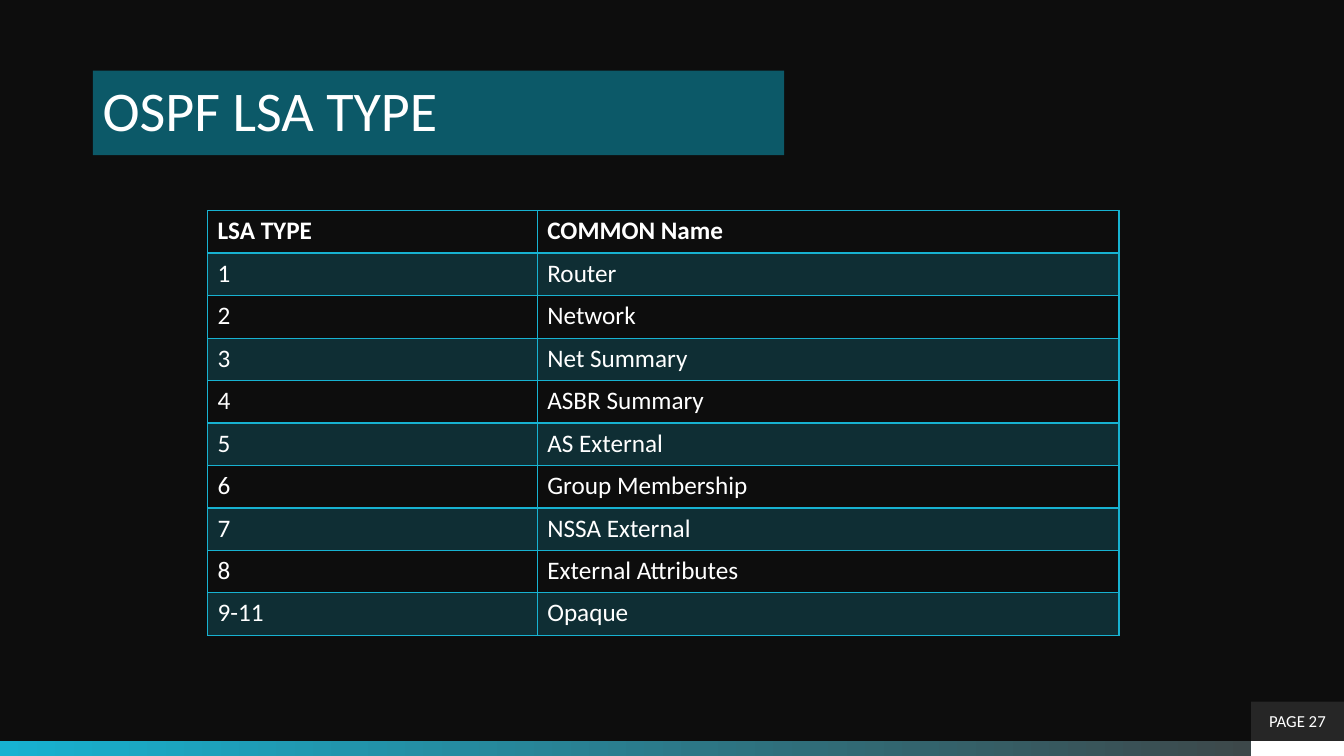
import pptx
import pptx.util
import pptx.dml.color
import pptx.enum.shapes
import pptx.enum.text
import pptx.oxml
import pptx.oxml.ns

Cm = pptx.util.Cm
Pt = pptx.util.Pt
ALIGN = pptx.enum.text.PP_ALIGN
ANCHOR = pptx.enum.text.MSO_ANCHOR

ACCENT = "17B2D1"
WHITE = "FFFFFF"
WIDTH, HEIGHT = 33.87, 19.05
BAR_TOP, BAR_HEIGHT = 18.67, 0.38
PAGE_LEFT, PAGE_WIDTH = 31.53, 2.34
COLUMNS = (8.31, 14.66)
ROW_HEIGHT = 1.07
LSA_TYPES = (
    ("LSA TYPE", "COMMON Name"),
    ("1", "Router"),
    ("2", "Network"),
    ("3", "Net Summary"),
    ("4", "ASBR Summary"),
    ("5", "AS External"),
    ("6", "Group Membership"),
    ("7", "NSSA External"),
    ("8", "External Attributes"),
    ("9-11", "Opaque"),
)


def rgb(value):
    return pptx.dml.color.RGBColor.from_string(value)


def set_all(obj, values):
    for name, value in values.items():
        setattr(obj, name, value)


def write(tf, text, size, bold=False, align=ALIGN.LEFT, spacing=1.0):
    p = tf.paragraphs[0]
    set_all(p, {"alignment": align, "line_spacing": spacing})
    r = p.add_run()
    r.text = text
    set_all(r.font, {"name": "Calibri", "size": Pt(size), "bold": bold})
    r.font.color.rgb = rgb(WHITE)


def add_box(s, left, top, width, height, color):
    sp = s.shapes.add_shape(
        pptx.enum.shapes.MSO_SHAPE.RECTANGLE,
        Cm(left), Cm(top), Cm(width), Cm(height))
    sp.shadow.inherit = False
    sp.line.fill.background()
    sp.fill.solid()
    sp.fill.fore_color.rgb = rgb(color)
    return sp


def add_gradient_bar(s):
    sp = add_box(s, 0, BAR_TOP, WIDTH, BAR_HEIGHT, ACCENT)
    sp.fill.gradient()
    sp.fill.gradient_angle = 0
    for stop, color in zip(sp.fill.gradient_stops, (ACCENT, "404040")):
        stop.color.rgb = rgb(color)


def add_title(s, text):
    sp = add_box(s, 2.34, 1.78, 17.42, 2.13, "0C5968")
    tf = sp.text_frame
    set_all(tf, {"word_wrap": True, "vertical_anchor": ANCHOR.MIDDLE,
                 "margin_top": Cm(0.3), "margin_bottom": Cm(0.3)})
    write(tf, text, 40, spacing=0.9)


def add_page_number(s, text):
    sp = add_box(s, PAGE_LEFT, 17.68, PAGE_WIDTH, 0.99, "262626")
    tf = sp.text_frame
    set_all(tf, {"word_wrap": True, "vertical_anchor": ANCHOR.MIDDLE})
    write(tf, text, 12, align=ALIGN.CENTER)


def set_borders(cell, widths):
    tc_pr = cell._tc.get_or_add_tcPr()
    for side, width in widths.items():
        tc_pr.append(pptx.oxml.parse_xml(
            f'<a:ln{side} {pptx.oxml.ns.nsdecls("a")} w="{Pt(width)}">'
            f'<a:solidFill><a:srgbClr val="{ACCENT}"/></a:solidFill>'
            f'</a:ln{side}>'))


def set_band(cell, banded):
    if not banded:
        cell.fill.background()
        return
    cell.fill.solid()
    cell.fill.fore_color.rgb = rgb(ACCENT)
    for color in cell._tc.tcPr.findall(
            "./a:solidFill/a:srgbClr", pptx.oxml.ns._nsmap):
        color.append(pptx.oxml.parse_xml(
            f'<a:alpha {pptx.oxml.ns.nsdecls("a")} val="20000"/>'))


def add_lsa_table(s, rows):
    table = s.shapes.add_table(
        len(rows), len(COLUMNS), Cm(5.23), Cm(5.31),
        Cm(sum(COLUMNS)), Cm(ROW_HEIGHT * len(rows))).table
    for column, width in zip(table.columns, COLUMNS):
        column.width = Cm(width)
    for i, values in enumerate(rows):
        table.rows[i].height = Cm(ROW_HEIGHT)
        widths = {"L": 1, "R": 1, "T": 2 if i == 1 else 1,
                  "B": 2 if i == 0 else 1}
        for j, text in enumerate(values):
            cell = table.cell(i, j)
            set_borders(cell, widths)
            set_band(cell, i % 2 == 1)
            write(cell.text_frame, text, 18, bold=i == 0)


def main():
    prs = pptx.Presentation()
    set_all(prs, {"slide_width": Cm(WIDTH), "slide_height": Cm(HEIGHT)})
    s = prs.slides.add_slide(prs.slide_layouts[6])
    s.background.fill.solid()
    s.background.fill.fore_color.rgb = rgb("0D0D0D")
    add_gradient_bar(s)
    add_box(s, PAGE_LEFT, BAR_TOP, PAGE_WIDTH, BAR_HEIGHT, WHITE)
    add_title(s, "OSPF LSA TYPE")
    add_lsa_table(s, LSA_TYPES)
    add_page_number(s, "PAGE 27")
    prs.save("out.pptx")


if __name__ == "__main__":
    main()
